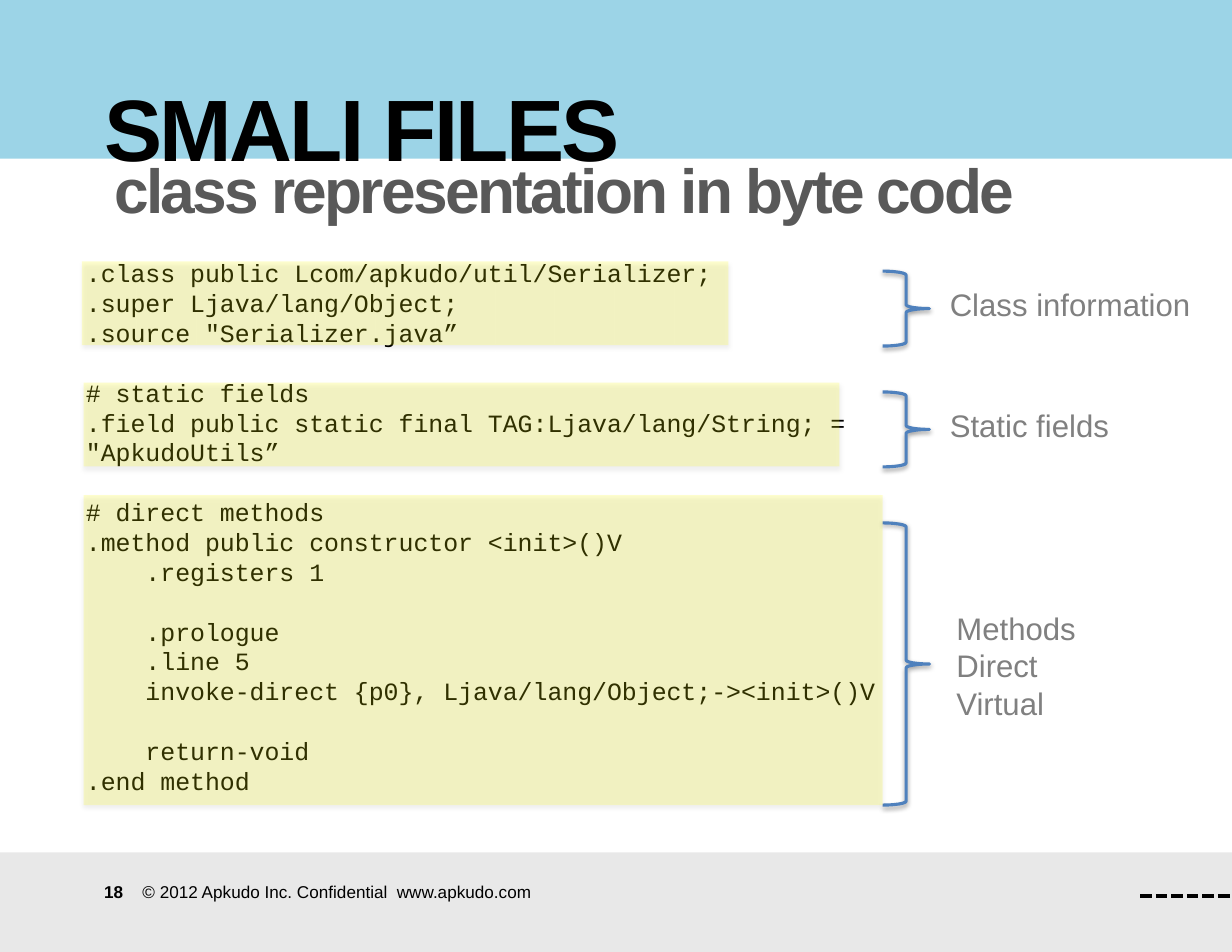
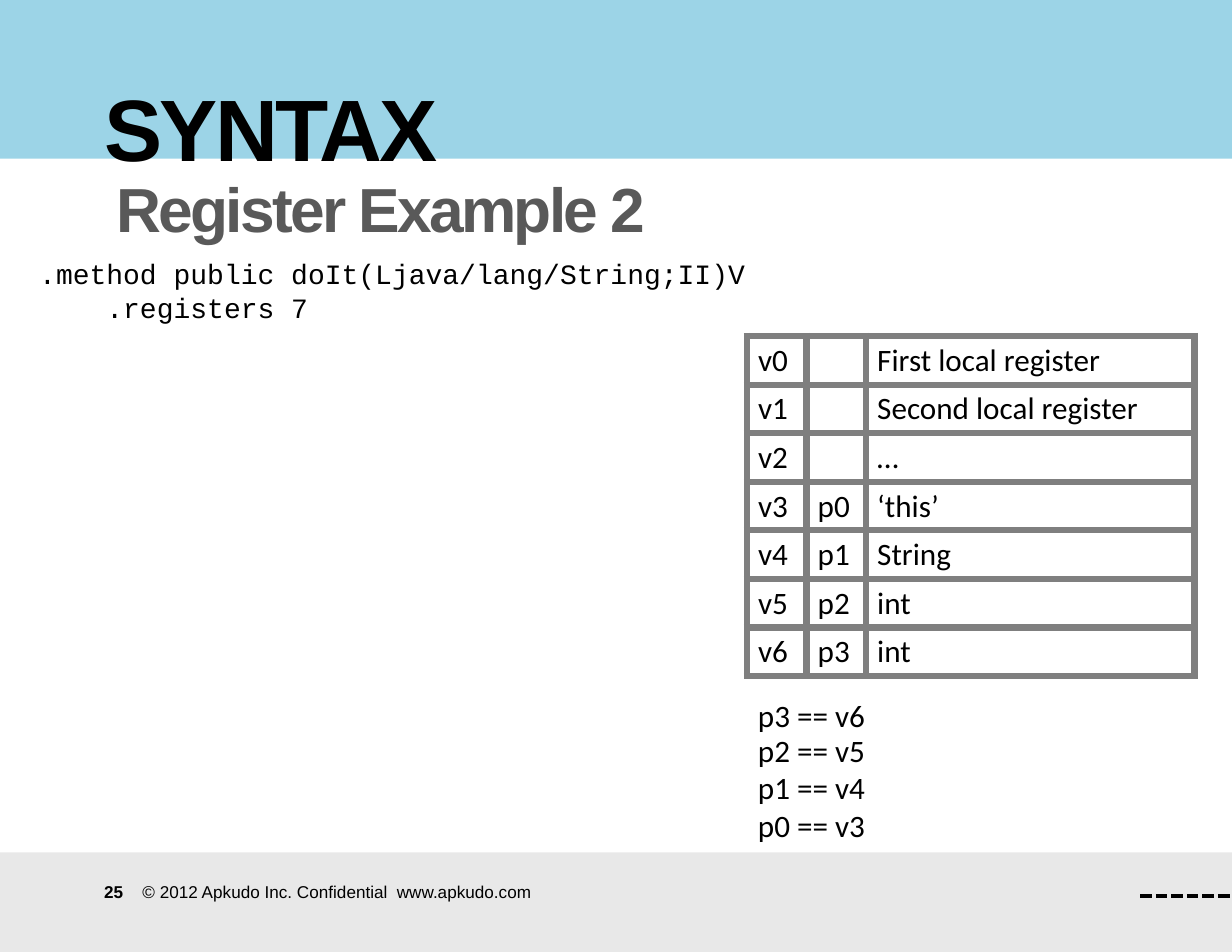
from lxml import etree
from pptx import Presentation
from pptx import util as u
from pptx.dml import color
from pptx.enum import dml, shapes, text
from pptx.oxml import ns

BLACK, GREY, DARK, MID = "000000", "808080", "595959", "7F7F7F"
SKY, PALE, BLUE, YELLOW, WHITE = "9CD4E7", "E8E8E8", "4F81BD", "FFFF00", "FFFFFF"
WIDTH, HEIGHT = 27.94, 21.59
COPYRIGHT = "\t© 2012 Apkudo Inc. Confidential\twww.apkudo.com"

SMALI_CODE = '''.class public Lcom/apkudo/util/Serializer;
.super Ljava/lang/Object;
.source "Serializer.java”

# static fields
.field public static final TAG:Ljava/lang/String; = "ApkudoUtils”

# direct methods
.method public constructor <init>()V
    .registers 1

    .prologue
    .line 5
    invoke-direct {p0}, Ljava/lang/Object;-><init>()V

    return-void
.end method'''

METHOD_CODE = '''.method public doIt(Ljava/lang/String;II)V
    .registers 7'''

REGISTERS = [
    ("v0", "", "First local register"),
    ("v1", "", "Second local register"),
    ("v2", "", "…"),
    ("v3", "p0", "‘this’"),
    ("v4", "p1", "String"),
    ("v5", "p2", "int"),
    ("v6", "p3", "int"),
]


def rgb(value):
    """Turn a hex string into a colour."""
    return color.RGBColor.from_string(value)


def child(parent, tag, **attributes):
    """Append a DrawingML element and return it."""
    return etree.SubElement(parent, ns.qn(tag), **attributes)


def write(frame, content, font="Arial", size=20, ink=BLACK, bold=False, lead="",
          spacing=None, leading=None, tracking=None, tabs=()):
    """Fill a text frame; a blank line becomes space before the next one."""
    gap = False
    paragraph = None
    for line in content.split("\n"):
        if not line:
            gap = True
            continue
        paragraph = frame.add_paragraph() if paragraph else frame.paragraphs[0]
        if tabs:
            stops = child(paragraph._p.get_or_add_pPr(), "a:tabLst")
            for stop in tabs:
                child(stops, "a:tab", pos=str(u.Cm(stop)), algn="l")
        if leading:
            paragraph.line_spacing = u.Pt(leading)
        elif spacing:
            paragraph.line_spacing = spacing
        if gap:
            paragraph.space_before = u.Pt(leading or size)
            gap = False
        for words, heavy in ((lead, True), (line, bold)):
            if not words:
                continue
            run = paragraph.add_run()
            run.text = words
            run.font.name, run.font.size, run.font.bold = font, u.Pt(size), heavy
            run.font.color.rgb = rgb(ink)
            if tracking:
                run._r.get_or_add_rPr().set("spc", str(tracking))


class Deck:
    """Hold the shared style and the current slide."""

    def __init__(self):
        """Start an empty letter-size presentation."""
        self.show = Presentation()
        self.show.slide_width, self.show.slide_height = u.Cm(WIDTH), u.Cm(HEIGHT)
        self.slide = None

    def page(self, number, title, subtitle, left, top):
        """Add a slide with bands, footer, title and subtitle."""
        self.slide = self.show.slides.add_slide(self.show.slide_layouts[6])
        self.slide.background.fill.solid()
        self.slide.background.fill.fore_color.rgb = rgb(WHITE)
        self.block(0, 0, WIDTH, 3.6, SKY)
        self.block(0, 19.33, WIDTH, 2.26, PALE)
        self.text(2.08, 19.84, 11, 0.76, COPYRIGHT, size=11, lead=str(number),
                  tabs=(0.87, 6.64), anchor="MIDDLE", inset=(0.28, 0.15))
        self.dashes(25.86, 20.32, WIDTH)
        heading = dict(bold=True, spacing=0.7, tracking=-170, anchor="BOTTOM",
                       inset=(0.28, 0.15))
        self.text(2.08, 0.74, 22.63, 3.4, title, size=56, **heading)
        self.text(left, top, 22.4, 2.28, subtitle, size=40, ink=DARK, **heading)

    def text(self, left, top, width, height, content, anchor="TOP",
             inset=(0.25, 0.13), wrap=True, **style):
        """Add a text box."""
        frame = self.slide.shapes.add_textbox(*map(u.Cm, (left, top, width, height))).text_frame
        frame.word_wrap = wrap
        frame.vertical_anchor = text.MSO_ANCHOR[anchor]
        frame.margin_left = frame.margin_right = u.Cm(inset[0])
        frame.margin_top = frame.margin_bottom = u.Cm(inset[1])
        write(frame, content, **style)

    def code(self, left, top, width, height, content, size):
        """Add a code listing."""
        self.text(left, top, width, height, content, font="Courier New", size=size,
                  leading=1.2 * size)

    def block(self, left, top, width, height, paint):
        """Add a plain filled rectangle."""
        area = self.slide.shapes.add_shape(shapes.MSO_SHAPE.RECTANGLE,
                                           *map(u.Cm, (left, top, width, height)))
        area.shadow.inherit = False
        area.fill.solid()
        area.fill.fore_color.rgb = rgb(paint)
        area.line.fill.background()
        return area

    def highlight(self, left, top, width, height):
        """Add a translucent marker over code."""
        marker = self.block(left, top, width, height, YELLOW)
        paint = marker._element.spPr.find(ns.qn("a:solidFill"))
        child(paint[0], "a:alpha", val="19000")
        self.drop_shadow(marker, 35, 1.8)

    def brace(self, left, top, width, height):
        """Add a right brace."""
        bracket = self.slide.shapes.add_shape(shapes.MSO_SHAPE.RIGHT_BRACE,
                                              *map(u.Cm, (left, top, width, height)))
        bracket.shadow.inherit = False
        bracket.fill.background()
        bracket.line.color.rgb = rgb(BLUE)
        bracket.line.width = u.Pt(2)
        self.drop_shadow(bracket, 38, 1.6)

    def drop_shadow(self, target, opacity, distance):
        """Give a shape a soft shadow below it."""
        effects = target._element.spPr.find(ns.qn("a:effectLst"))
        shade = child(effects, "a:outerShdw", blurRad=str(u.Pt(3.1)), dist=str(u.Pt(distance)),
                      dir="5400000", rotWithShape="0")
        ink = child(shade, "a:srgbClr", val=BLACK)
        child(ink, "a:alpha", val=str(opacity * 1000))

    def dashes(self, start, level, end):
        """Add a horizontal dashed line."""
        rule = self.slide.shapes.add_connector(shapes.MSO_CONNECTOR.STRAIGHT,
                                               *map(u.Cm, (start, level, end, level)))
        rule.line.color.rgb = rgb(BLACK)
        rule.line.width = u.Pt(2.5)
        rule.line.dash_style = dml.MSO_LINE.SQUARE_DOT
        child(rule._element.spPr, "a:effectLst")

    def table(self, left, top, widths, row_height, rows):
        """Add a table with thick grey borders."""
        grid = self.slide.shapes.add_table(
            len(rows), len(widths), u.Cm(left), u.Cm(top),
            u.Cm(sum(widths)), u.Cm(row_height * len(rows))).table
        grid.first_row = grid.horz_banding = False
        for column, width in zip(grid.columns, widths):
            column.width = u.Cm(width)
        for r, row in enumerate(rows):
            grid.rows[r].height = u.Cm(row_height)
            for c, words in enumerate(row):
                cell = grid.cell(r, c)
                write(cell.text_frame, words, font="Calibri")
                self.borders(cell)
                cell.fill.background()

    def borders(self, cell):
        """Draw the four borders of a cell."""
        properties = cell._tc.get_or_add_tcPr()
        for side in "LRTB":
            edge = child(properties, f"a:ln{side}", w=str(u.Pt(4.5)))
            child(child(edge, "a:solidFill"), "a:srgbClr", val=MID)


def smali_files(deck):
    """Build the slide on the parts of a smali file."""
    deck.page(18, "SMALI FILES", "class representation in byte code", 2.31, 2.95)
    deck.code(1.7, 5.72, 19.89, 12.57, SMALI_CODE, 16)
    for top, height in ((6.15, 1.7), (8.89, 1.7), (11.86, 6.4)):
        deck.brace(20.02, top, 1.06, height)
    for left, top, width, height, part in (
            (21.29, 6.35, 6.02, 1.12, "Class information"),
            (21.29, 9.09, 4.17, 1.12, "Static fields"),
            (21.44, 13.69, 3.28, 2.82, "Methods\nDirect\nVirtual")):
        deck.text(left, top, width, height, part, ink=GREY, wrap=False, leading=24)
    for left, top, width, height in ((1.86, 5.93, 14.66, 1.9), (1.9, 8.68, 17.14, 1.9),
                                     (1.9, 11.23, 18.12, 7.03)):
        deck.highlight(left, top, width, height)


def register_example(deck):
    """Build the slide on register names."""
    deck.page(25, "SYNTAX", "Register Example 2", 2.36, 3.38)
    deck.code(0.64, 5.69, 17.35, 3.84, METHOD_CODE, 18)
    deck.table(16.94, 7.62, (1.35, 1.35, 7.45), 1.1, REGISTERS)
    for top, height, equality in ((15.67, 1.12, "p3 == v6"), (16.46, 1.12, "p2 == v5"),
                                  (17.3, 1.96, "p1 == v4\np0 == v3")):
        deck.text(16.94, top, 2.97, height, equality, font="Calibri", wrap=False)


def main():
    """Build and save the deck."""
    deck = Deck()
    smali_files(deck)
    register_example(deck)
    deck.show.save("out.pptx")


if __name__ == "__main__":
    main()
